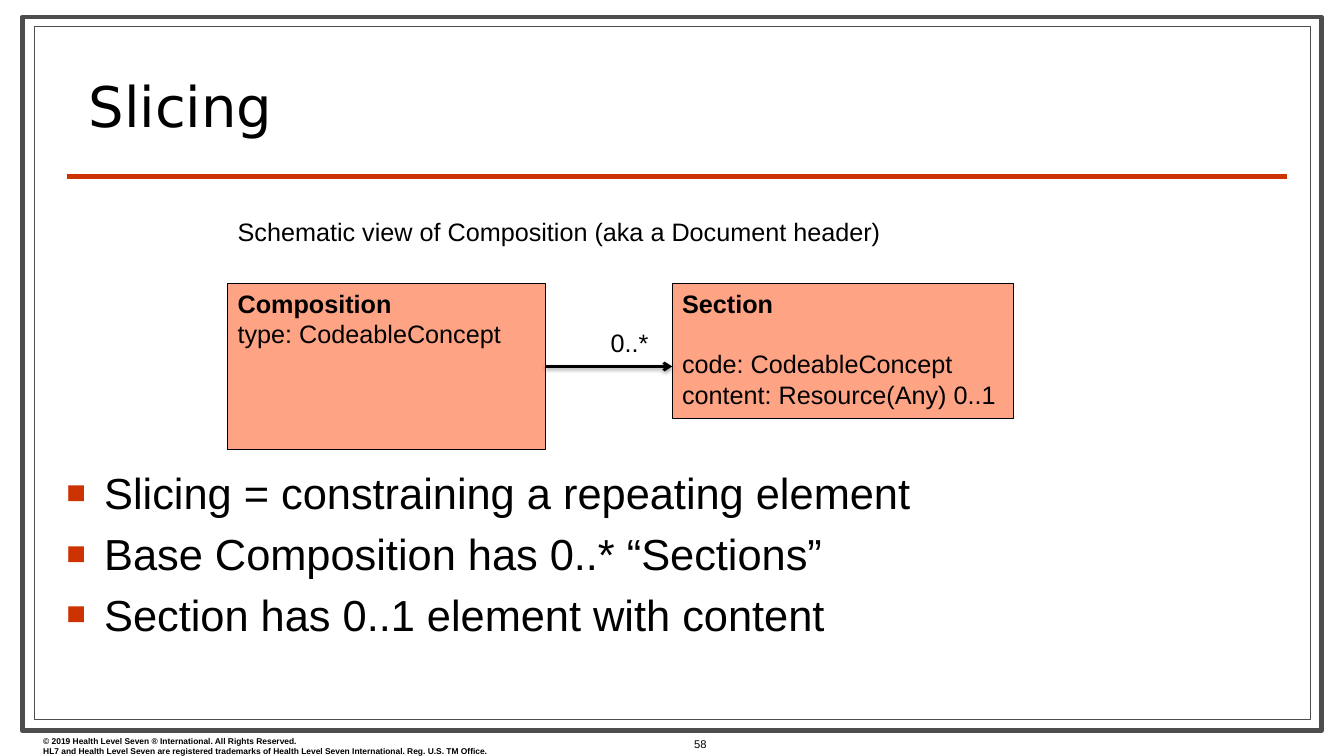
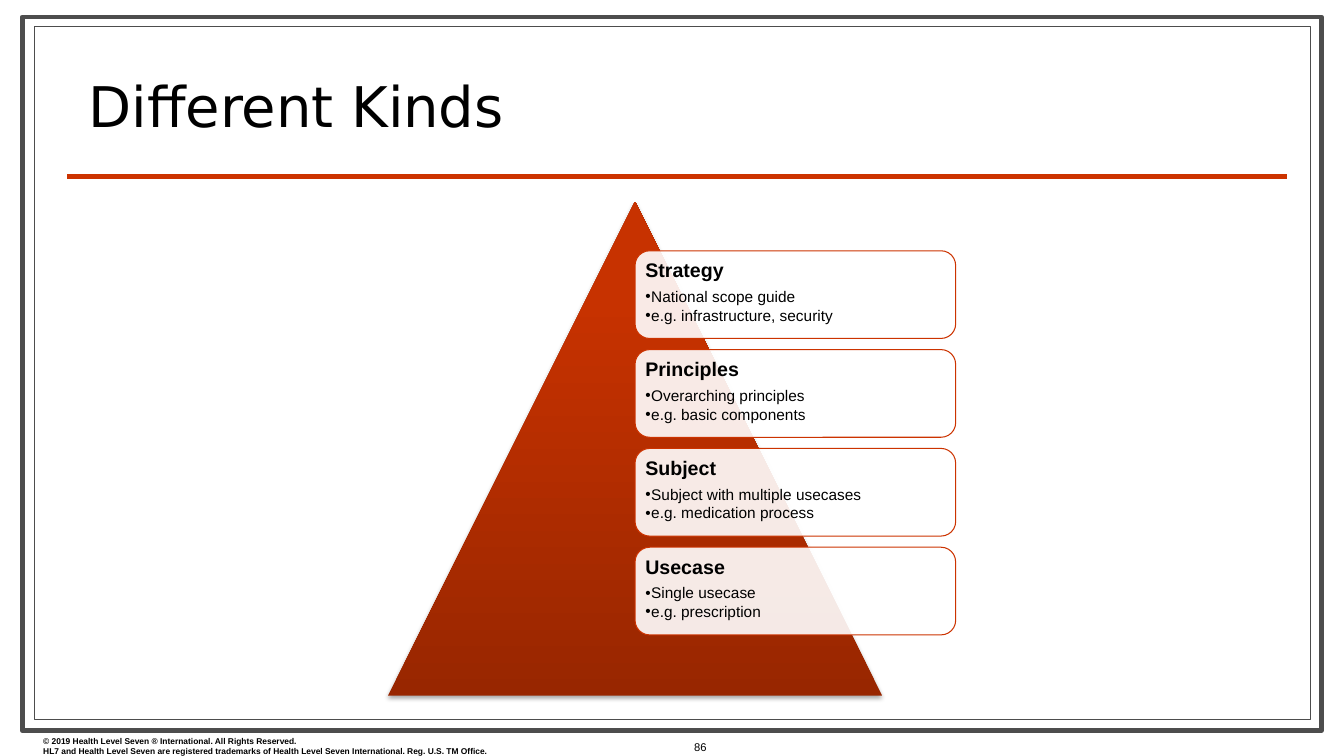
from dataclasses import dataclass

from lxml.etree import SubElement
from pptx import Presentation
from pptx.dml.color import RGBColor
from pptx.enum.shapes import MSO_CONNECTOR, MSO_SHAPE
from pptx.enum.text import MSO_ANCHOR, MSO_AUTO_SIZE, PP_ALIGN
from pptx.oxml.ns import qn
from pptx.util import Cm, Pt


@dataclass(frozen=True)
class Theme:
    # Colours
    text: str = "000000"
    paper: str = "FFFFFF"
    frame: str = "4D4D4D"
    accent: str = "CC3300"
    model: str = "FFA385"
    pyramid_base: str = "982600"
    pyramid_top: str = "C73200"
    # Fonts and type sizes
    title_font: str = "DejaVu Sans"
    body_font: str = "Arial"
    title_size: float = 40
    list_size: float = 31
    diagram_size: float = 18
    card_title_size: float = 14
    card_size: float = 11
    number_size: float = 8
    footer_size: float = 6


THEME = Theme()
TITLE_AND_CONTENT, TITLE_ONLY = 1, 5

CARDS = [
    ("Strategy", ["National scope guide", "e.g. infrastructure, security"]),
    ("Principles", ["Overarching principles", "e.g. basic components"]),
    ("Subject", ["Subject with multiple usecases", "e.g. medication process"]),
    ("Usecase", ["Single usecase", "e.g. prescription"]),
]


# Text
def add_run(paragraph, text, size, bold=False, font=THEME.body_font):
    run = paragraph.add_run()
    run.text = text
    run.font.name = font
    run.font.size = Pt(size)
    run.font.bold = bold
    run.font.color.rgb = RGBColor.from_string(THEME.text)


def add_paragraph(frame, text, size, bold=False, before=0):
    """Write into the empty first paragraph, or into a new one after it."""
    paragraph = frame.paragraphs[0]
    if paragraph.runs:
        paragraph = frame.add_paragraph()
    paragraph.alignment = PP_ALIGN.LEFT
    paragraph.space_before = Pt(before)
    add_run(paragraph, text, size, bold)
    return paragraph


def set_bullet(paragraph, character, indent, color=THEME.text, percent=100):
    properties = paragraph._p.get_or_add_pPr()
    properties.set("marL", str(indent))
    properties.set("indent", str(-indent))
    bullet_color = SubElement(properties, qn("a:buClr"))
    SubElement(bullet_color, qn("a:srgbClr"), val=color)
    SubElement(properties, qn("a:buSzPct"), val=str(percent * 1000))
    SubElement(properties, qn("a:buFont"), typeface=THEME.body_font)
    SubElement(properties, qn("a:buChar"), char=character)


def add_text_box(slide, box, text, size, wrap=True):
    shape = slide.shapes.add_textbox(*map(Cm, box))
    shape.text_frame.word_wrap = wrap
    add_paragraph(shape.text_frame, text, size)
    return shape


# Shapes and lines
def set_shadow(shape, alpha=0, blur=0, distance=0):
    """Give a downward shadow, or none when alpha is zero."""
    effects = SubElement(shape.element.spPr, qn("a:effectLst"))
    if alpha:
        outer = SubElement(
            effects, qn("a:outerShdw"), blurRad=str(Pt(blur)),
            dist=str(Pt(distance)), dir="5400000", rotWithShape="0")
        color = SubElement(outer, qn("a:srgbClr"), val=THEME.text)
        SubElement(color, qn("a:alpha"), val=str(alpha * 1000))


def add_box(slide, kind, box, fill, line, width=0.75):
    shape = slide.shapes.add_shape(kind, *map(Cm, box))
    shape.fill.solid()
    shape.fill.fore_color.rgb = RGBColor.from_string(fill)
    shape.line.color.rgb = RGBColor.from_string(line)
    shape.line.width = Pt(width)
    set_shadow(shape)
    shape.text_frame.word_wrap = True
    shape.text_frame.vertical_anchor = MSO_ANCHOR.TOP
    return shape


def add_line(slide, start_x, end_x, y, color, width):
    line = slide.shapes.add_connector(
        MSO_CONNECTOR.STRAIGHT, Cm(start_x), Cm(y), Cm(end_x), Cm(y))
    line.line.color.rgb = RGBColor.from_string(color)
    line.line.width = Pt(width)
    return line


def add_arrow(slide, start_x, end_x, y):
    arrow = add_line(slide, start_x, end_x, y, THEME.text, 2)
    SubElement(arrow.line._get_or_add_ln(), qn("a:tailEnd"), type="arrow")
    set_shadow(arrow, alpha=38, blur=3.1, distance=1.6)


def add_model_class(slide, box, name):
    shape = add_box(slide, MSO_SHAPE.RECTANGLE, box, THEME.model, THEME.text)
    add_paragraph(shape.text_frame, name, THEME.diagram_size, bold=True)
    return shape.text_frame


def add_pyramid(slide, left, top, side):
    shape = slide.shapes.add_shape(
        MSO_SHAPE.ISOSCELES_TRIANGLE, Cm(left), Cm(top), Cm(side), Cm(side))
    shape.fill.gradient()
    shape.fill.gradient_angle = 90
    stops = zip(shape.fill.gradient_stops, (0, 0.8),
                (THEME.pyramid_base, THEME.pyramid_top))
    for stop, position, color in stops:
        stop.position = position
        stop.color.rgb = RGBColor.from_string(color)
    shape.line.fill.background()
    set_shadow(shape, alpha=35, blur=3.1, distance=1.8)


def add_card(slide, box, heading, items):
    shape = add_box(slide, MSO_SHAPE.ROUNDED_RECTANGLE, box,
                    THEME.paper, THEME.accent)
    fill_color = shape.element.spPr.find(qn("a:solidFill"))[0]
    SubElement(fill_color, qn("a:alpha"), val="90000")
    frame = shape.text_frame
    frame.margin_left = frame.margin_right = Cm(0.15)
    frame.margin_top = frame.margin_bottom = Cm(0.15)
    title = add_paragraph(frame, heading, THEME.card_title_size, bold=True)
    title.line_spacing = 0.9
    title.space_after = Pt(5)
    for item in items:
        paragraph = add_paragraph(frame, item, THEME.card_size)
        paragraph.line_spacing = 0.9
        paragraph.space_after = Pt(1.5)
        set_bullet(paragraph, "•", Cm(0.15))


# Placeholders
def place(shape, box):
    shape.left, shape.top, shape.width, shape.height = map(Cm, box)
    shape.text_frame.auto_size = MSO_AUTO_SIZE.NONE
    return shape.text_frame


def add_slide(presentation, layout, title, number, number_box):
    slide = presentation.slides.add_slide(presentation.slide_layouts[layout])
    frame = place(slide.shapes.title, (1.98, 1.32, 30.2, 2.29))
    frame.vertical_anchor = MSO_ANCHOR.BOTTOM
    paragraph = frame.paragraphs[0]
    paragraph.alignment = PP_ALIGN.LEFT
    paragraph.line_spacing = 0.8
    add_run(paragraph, title, THEME.title_size, font=THEME.title_font)

    page = add_text_box(slide, number_box, number, THEME.number_size)
    page.text_frame.vertical_anchor = MSO_ANCHOR.MIDDLE
    page.text_frame.paragraphs[0].alignment = PP_ALIGN.RIGHT
    return slide


def fill_list(slide, box, items):
    frame = place(slide.placeholders[1], box)
    for index, item in enumerate(items):
        paragraph = add_paragraph(frame, item, THEME.list_size,
                                  before=6 if index else 0)
        set_bullet(paragraph, "■", Cm(0.95), THEME.accent, 75)


# Shared frame, rule and footer
def move_frame_to_master(presentation, slide):
    """Draw the shared parts on a slide, then hand them to its master."""
    outer = add_box(slide, MSO_SHAPE.RECTANGLE, (0.56, 0.43, 32.74, 17.98),
                    THEME.paper, THEME.frame, 3.5)
    inner = add_box(slide, MSO_SHAPE.RECTANGLE, (0.86, 0.66, 32.16, 17.48),
                    THEME.paper, THEME.frame)
    rule = add_line(slide, 1.7, 32.44, 4.45, THEME.accent, 3)
    set_shadow(rule)
    footer = slide.shapes.add_textbox(Cm(0.84), Cm(18.42), Cm(16.36), Cm(0.76))
    footer.text_frame.word_wrap = True
    for text in (
        "© 2019 Health Level Seven ® International. All Rights Reserved.",
        "HL7 and Health Level Seven are registered trademarks of Health Level "
        "Seven International. Reg. U.S. TM Office.",
    ):
        add_paragraph(footer.text_frame, text, THEME.footer_size, bold=True)

    master_tree = presentation.slide_master.shapes.element
    for index, shape in enumerate((outer, inner, rule, footer)):
        shape.element[0][0].set("id", str(100 + index))
        master_tree.insert(2 + index, shape.element)


# Slides
def build_slicing(presentation):
    slide = add_slide(presentation, TITLE_AND_CONTENT, "Slicing", "58",
                      (16.08, 18.42, 1.98, 0.64))
    fill_list(slide, (1.42, 11.63, 31.04, 5.72), [
        "Slicing = constraining a repeating element",
        "Base Composition has 0..* “Sections”",
        "Section has 0..1 element with content",
    ])
    size = THEME.diagram_size
    left, top, width, height = 5.74, 7.14, 8, 4.19
    section_left = 16.94
    composition = add_model_class(slide, (left, top, width, height),
                                  "Composition")
    add_paragraph(composition, "type: CodeableConcept", size)
    section = add_model_class(slide, (section_left, top, 8.61, 3.4), "Section")
    add_paragraph(section, "code: CodeableConcept", size, before=21.5)
    add_paragraph(section, "content: Resource(Any) 0..1", size)
    add_arrow(slide, left + width, section_left, top + height / 2)
    add_text_box(slide, (15.14, 8.13, 1.47, 1.02), "0..*", size, wrap=False)
    add_text_box(slide, (left, 5.33, 19.2, 1.02),
                 "Schematic view of Composition (aka a Document header)", size)
    return slide


def build_kinds(presentation):
    slide = add_slide(presentation, TITLE_ONLY, "Different Kinds", "86",
                      (16.08, 18.16, 1.98, 1.32))
    left, top, side = 9.78, 5.08, 12.45
    add_pyramid(slide, left, top, side)
    card_top, card_height, gap = 6.32, 2.21, 0.28
    for index, (heading, items) in enumerate(CARDS):
        y = card_top + index * (card_height + gap)
        add_card(slide, (left + side / 2, y, 8.08, card_height), heading, items)


def main():
    presentation = Presentation()
    presentation.slide_width = Cm(33.87)
    presentation.slide_height = Cm(19.05)
    first_slide = build_slicing(presentation)
    move_frame_to_master(presentation, first_slide)
    build_kinds(presentation)
    presentation.save("out.pptx")


if __name__ == "__main__":
    main()
